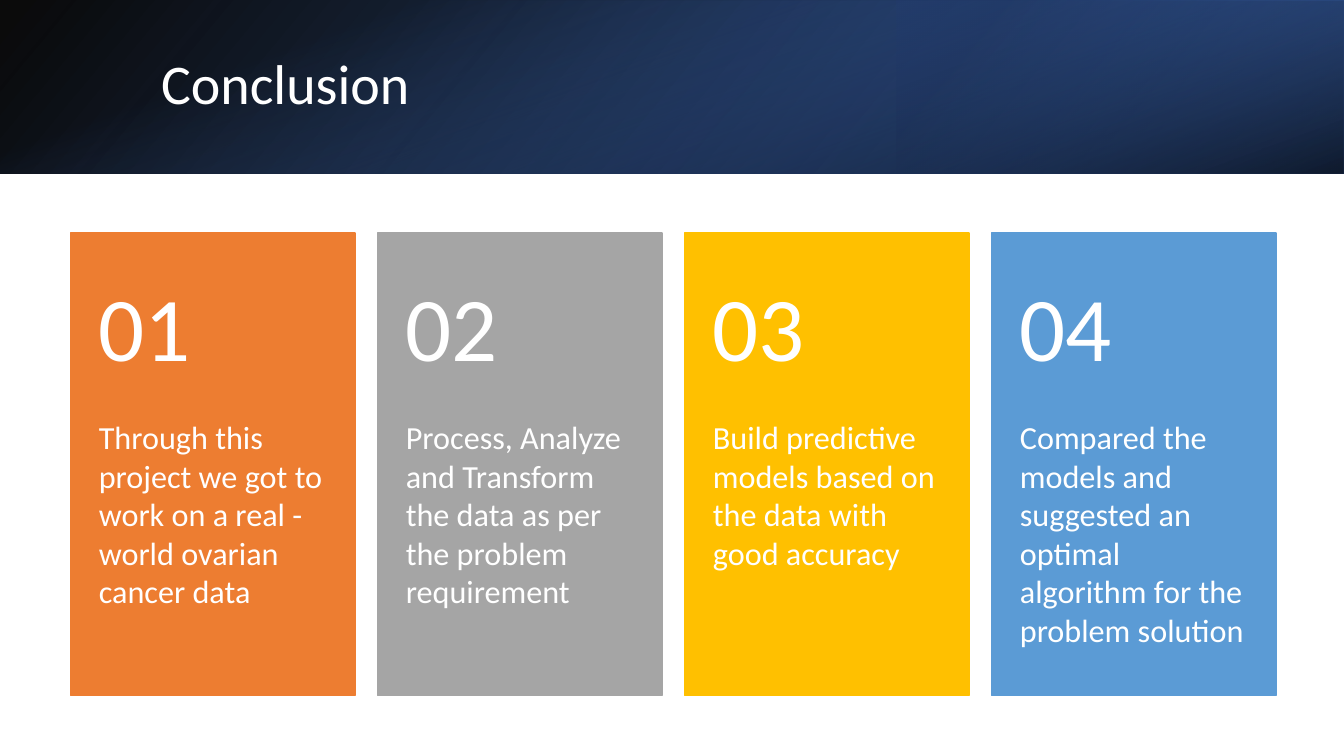
from lxml.etree import SubElement
from pptx import Presentation
from pptx.dml.color import RGBColor
from pptx.enum.shapes import MSO_SHAPE as Shape
from pptx.enum.text import MSO_ANCHOR as Anchor
from pptx.oxml.ns import qn
from pptx.util import Inches, Pt

# Content
TITLE = "Conclusion"
CARDS = [
    ("ED7D31", "Through this project we got to work on a real - world ovarian cancer data"),
    ("A5A5A5", "Process, Analyze and Transform the data as per the problem requirement"),
    ("FFC000", "Build predictive models based on the data with good accuracy"),
    ("5B9BD5", "Compared the models and suggested an optimal algorithm for the problem solution"),
]
# Banner layers: box, rotation, mirrored, clockwise angle, stops (position, colour, opacity)
LAYERS = [
    ((0, 0, 13.33, 1.72), 0, True, 140, [(0, "000000", 96), (100, "2F5597", 100)]),
    ((8.89, 0, 4.44, 1.72), 180, True, 320, [(19, "203864", 68), (100, "4472C4", 79)]),
    ((5.8, -5.8, 1.72, 13.33), 90, False, 340, [(23, "4472C4", 0), (99, "000000", 74)]),
]

# Card grid
LEFT, TOP, STEP = 0.7, 2.31, 3.045
WIDE, HIGH, HEAD = 2.82, 4.59, 1.83

deck = Presentation()
deck.slide_width, deck.slide_height = Inches(13.33), Inches(7.5)
slide = deck.slides.add_slide(deck.slide_layouts[6])


def color(code):
    return RGBColor.from_string(code)


def add_rect(box):
    rect = slide.shapes.add_shape(Shape.RECTANGLE, *map(Inches, box))
    rect.shadow.inherit = False
    return rect


def add_layer(box, turn, mirror, angle, stops):
    rect = add_rect(box)
    rect.rotation = turn
    rect.line.fill.background()
    if mirror:
        rect.element.spPr.find(qn("a:xfrm")).set("flipH", "1")
    rect.fill.gradient()
    rect.fill.gradient_angle = 360 - angle
    for stop, (place, code, _) in zip(rect.fill.gradient_stops, stops):
        stop.position = place / 100
        stop.color.rgb = color(code)
    tones = rect.element.spPr.iter(qn("a:srgbClr"))
    for tone, (_, _, alpha) in zip(list(tones), stops):
        SubElement(tone, qn("a:alpha")).set("val", str(alpha * 1000))


def add_text(box, text, size, anchor, inset):
    frame = slide.shapes.add_textbox(*map(Inches, box)).text_frame
    frame.word_wrap = True
    frame.vertical_anchor = anchor
    (frame.margin_left, frame.margin_top,
     frame.margin_right, frame.margin_bottom) = map(Inches, inset)
    frame.text = text
    para = frame.paragraphs[0]
    font = para.runs[0].font
    font.name, font.size = "Calibri", Pt(size)
    font.color.rgb = color("FFFFFF")
    return para


# Banner and title
for layer in LAYERS:
    add_layer(*layer)
title = add_text((1.5, 0.38, 10.98, 0.96), TITLE, 40, Anchor.MIDDLE, (0.1, 0.05, 0.1, 0.05))
title.line_spacing = 0.9

# Numbered cards
for i, (code, text) in enumerate(CARDS):
    x = LEFT + i * STEP
    card = add_rect((x, TOP, WIDE, HIGH))
    card.fill.solid()
    card.fill.fore_color.rgb = card.line.color.rgb = color(code)
    card.line.width = Pt(1)
    add_text((x, TOP, WIDE, HEAD), f"{i + 1:02}", 65, Anchor.MIDDLE, (0.28, 0.18, 0.28, 0.18))
    add_text((x, TOP + HEAD, WIDE, HIGH - HEAD), text, 23, Anchor.TOP, (0.28, 0, 0.28, 0.36))

deck.save("out.pptx")
